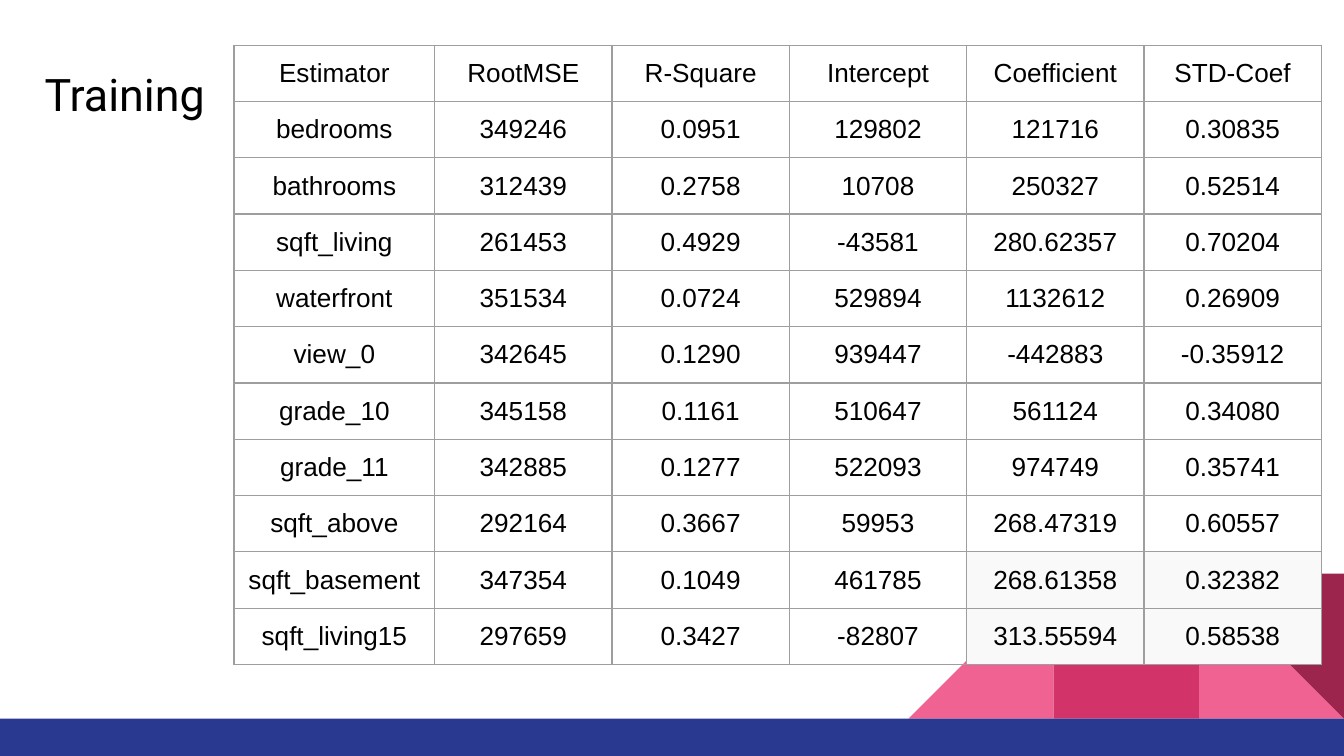
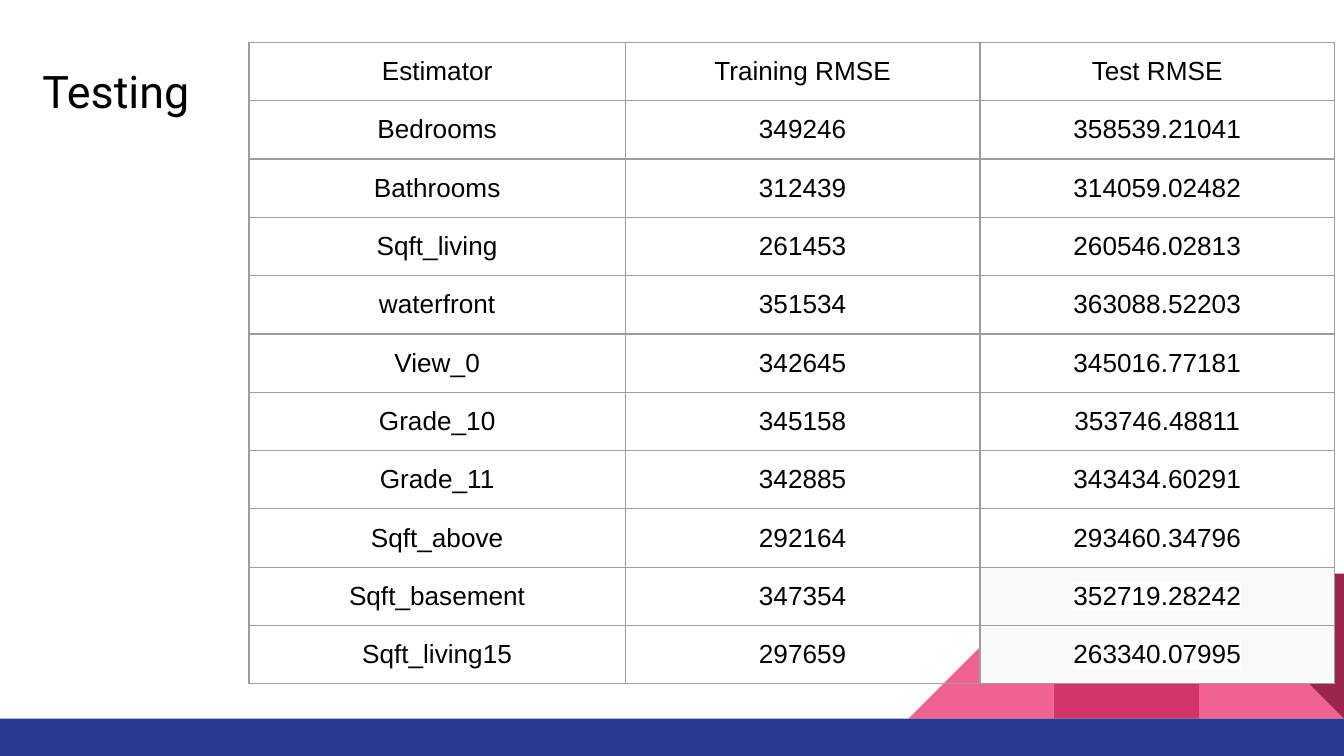
import lxml.etree
import pptx
import pptx.dml.color
import pptx.enum.shapes
import pptx.enum.text
import pptx.oxml.ns
import pptx.util

Pt = pptx.util.Pt
SHAPES = pptx.enum.shapes.MSO_SHAPE
ALIGN = pptx.enum.text.PP_ALIGN
ANCHOR = pptx.enum.text.MSO_ANCHOR

SLIDE_WIDTH, SLIDE_HEIGHT = 720, 405
BAND_TOP = 385
TILE = 77.75
ROW_HEIGHT = 30

BLACK = "000000"
WHITE = "FFFFFF"
NAVY = "2A3990"
PINK = "F06292"
ROSE = "D23369"
WINE = "9C254D"
SHADE = "F9F9F9"
GRID = "9E9E9E"

TRAINING_ROWS = [
    ("Estimator", "RootMSE", "R-Square", "Intercept", "Coefficient", "STD-Coef"),
    ("bedrooms", "349246", "0.0951", "129802", "121716", "0.30835"),
    ("bathrooms", "312439", "0.2758", "10708", "250327", "0.52514"),
    ("sqft_living", "261453", "0.4929", "-43581", "280.62357", "0.70204"),
    ("waterfront", "351534", "0.0724", "529894", "1132612", "0.26909"),
    ("view_0", "342645", "0.1290", "939447", "-442883", "-0.35912"),
    ("grade_10", "345158", "0.1161", "510647", "561124", "0.34080"),
    ("grade_11", "342885", "0.1277", "522093", "974749", "0.35741"),
    ("sqft_above", "292164", "0.3667", "59953", "268.47319", "0.60557"),
    ("sqft_basement", "347354", "0.1049", "461785", "268.61358", "0.32382"),
    ("sqft_living15", "297659", "0.3427", "-82807", "313.55594", "0.58538"),
]

TESTING_ROWS = [
    ("Estimator", "Training RMSE", "Test RMSE"),
    ("Bedrooms", "349246", "358539.21041"),
    ("Bathrooms", "312439", "314059.02482"),
    ("Sqft_living", "261453", "260546.02813"),
    ("waterfront", "351534", "363088.52203"),
    ("View_0", "342645", "345016.77181"),
    ("Grade_10", "345158", "353746.48811"),
    ("Grade_11", "342885", "343434.60291"),
    ("Sqft_above", "292164", "293460.34796"),
    ("Sqft_basement", "347354", "352719.28242"),
    ("Sqft_living15", "297659", "263340.07995"),
]


def color(value):
    return pptx.dml.color.RGBColor.from_string(value)


def add_color_element(parent, tag, value):
    """Append a DrawingML element that wraps one RGB colour."""
    element = lxml.etree.SubElement(parent, pptx.oxml.ns.qn(tag))
    lxml.etree.SubElement(element, pptx.oxml.ns.qn("a:srgbClr"), val=value)
    return element


def write_text(text_frame, text, *, size, font, align=ALIGN.LEFT,
               line_spacing=None, space_after=None, highlight=None):
    paragraph = text_frame.paragraphs[0]
    paragraph.alignment = align
    if line_spacing is not None:
        paragraph.line_spacing = line_spacing
    if space_after is not None:
        paragraph.space_after = Pt(space_after)
    run = paragraph.add_run()
    run.text = text
    run.font.size = Pt(size)
    run.font.name = font
    run.font.color.rgb = color(BLACK)
    if highlight:
        properties = run.font._element
        marker = add_color_element(properties, "a:highlight", highlight)
        properties.find(pptx.oxml.ns.qn("a:solidFill")).addnext(marker)


def add_block(slide, kind, left, top, width, height, fill, rotation=0):
    shape = slide.shapes.add_shape(kind, Pt(left), Pt(top), Pt(width), Pt(height))
    shape.shadow.inherit = False
    shape.fill.solid()
    shape.fill.fore_color.rgb = color(fill)
    shape.line.fill.background()
    shape.rotation = rotation


def add_footer(slide):
    """Add the navy band and the geometric corner standing on it."""
    tiles = [
        (SHAPES.RIGHT_TRIANGLE, 1, PINK, 0),
        (SHAPES.RIGHT_TRIANGLE, 3, PINK, 270),
        (SHAPES.RECTANGLE, 2, ROSE, 0),
        (SHAPES.RIGHT_TRIANGLE, 1, WINE, 180),
    ]
    for kind, tiles_from_right, fill, rotation in tiles:
        add_block(slide, kind, SLIDE_WIDTH - tiles_from_right * TILE,
                  BAND_TOP - TILE, TILE, TILE, fill, rotation)
    add_block(slide, SHAPES.RECTANGLE, 0, BAND_TOP, SLIDE_WIDTH,
              SLIDE_HEIGHT - BAND_TOP, NAVY)


def add_title(slide, text, left, top):
    box = slide.shapes.add_textbox(Pt(left), Pt(top), Pt(104), Pt(44))
    frame = box.text_frame
    frame.word_wrap = True
    frame.margin_left = frame.margin_right = Pt(7.2)
    frame.margin_top = frame.margin_bottom = Pt(7.2)
    write_text(frame, text, size=24, font="Roboto", line_spacing=1.15, space_after=16)


def set_borders(cell):
    properties = cell._tc.get_or_add_tcPr()
    for index, side in enumerate(("a:lnL", "a:lnR", "a:lnT", "a:lnB")):
        line = lxml.etree.Element(pptx.oxml.ns.qn(side), w=str(Pt(0.75)))
        add_color_element(line, "a:solidFill", GRID)
        properties.insert(index, line)


def add_results_table(slide, rows, left, top, widths, first_shaded_column, highlight=None):
    """Add a grid whose last two rows are shaded from first_shaded_column on."""
    frame = slide.shapes.add_table(len(rows), len(widths), Pt(left), Pt(top),
                                   Pt(sum(widths)), Pt(ROW_HEIGHT * len(rows)))
    table = frame.table
    table.first_row = table.horz_banding = False
    for column, width in zip(table.columns, widths):
        column.width = Pt(width)
    for row_index, values in enumerate(rows):
        table.rows[row_index].height = Pt(ROW_HEIGHT)
        for column_index, value in enumerate(values):
            cell = table.cell(row_index, column_index)
            cell.vertical_anchor = ANCHOR.MIDDLE
            cell.margin_left = cell.margin_right = Pt(5)
            cell.margin_top = cell.margin_bottom = Pt(7.2)
            if row_index >= len(rows) - 2 and column_index >= first_shaded_column:
                cell.fill.solid()
                cell.fill.fore_color.rgb = color(SHADE)
            else:
                cell.fill.background()
            set_borders(cell)
            write_text(cell.text_frame, value, size=14, font="Arial",
                       align=ALIGN.CENTER, highlight=highlight)


def add_slide(presentation):
    slide = presentation.slides.add_slide(presentation.slide_layouts[6])
    slide.background.fill.solid()
    slide.background.fill.fore_color.rgb = color(WHITE)
    add_footer(slide)
    return slide


def main():
    presentation = pptx.Presentation()
    presentation.slide_width = Pt(SLIDE_WIDTH)
    presentation.slide_height = Pt(SLIDE_HEIGHT)

    training = add_slide(presentation)
    add_results_table(training, TRAINING_ROWS, 125.4, 24.2, [107.5] + [95] * 5,
                      first_shaded_column=4)
    add_title(training, "Training", 16.8, 24.5)

    testing = add_slide(presentation)
    add_title(testing, "Testing", 15.6, 22.8)
    add_results_table(testing, TESTING_ROWS, 133.4, 22.7, [201.6] + [190] * 2,
                      first_shaded_column=2, highlight=WHITE)

    presentation.save("out.pptx")


if __name__ == "__main__":
    main()
